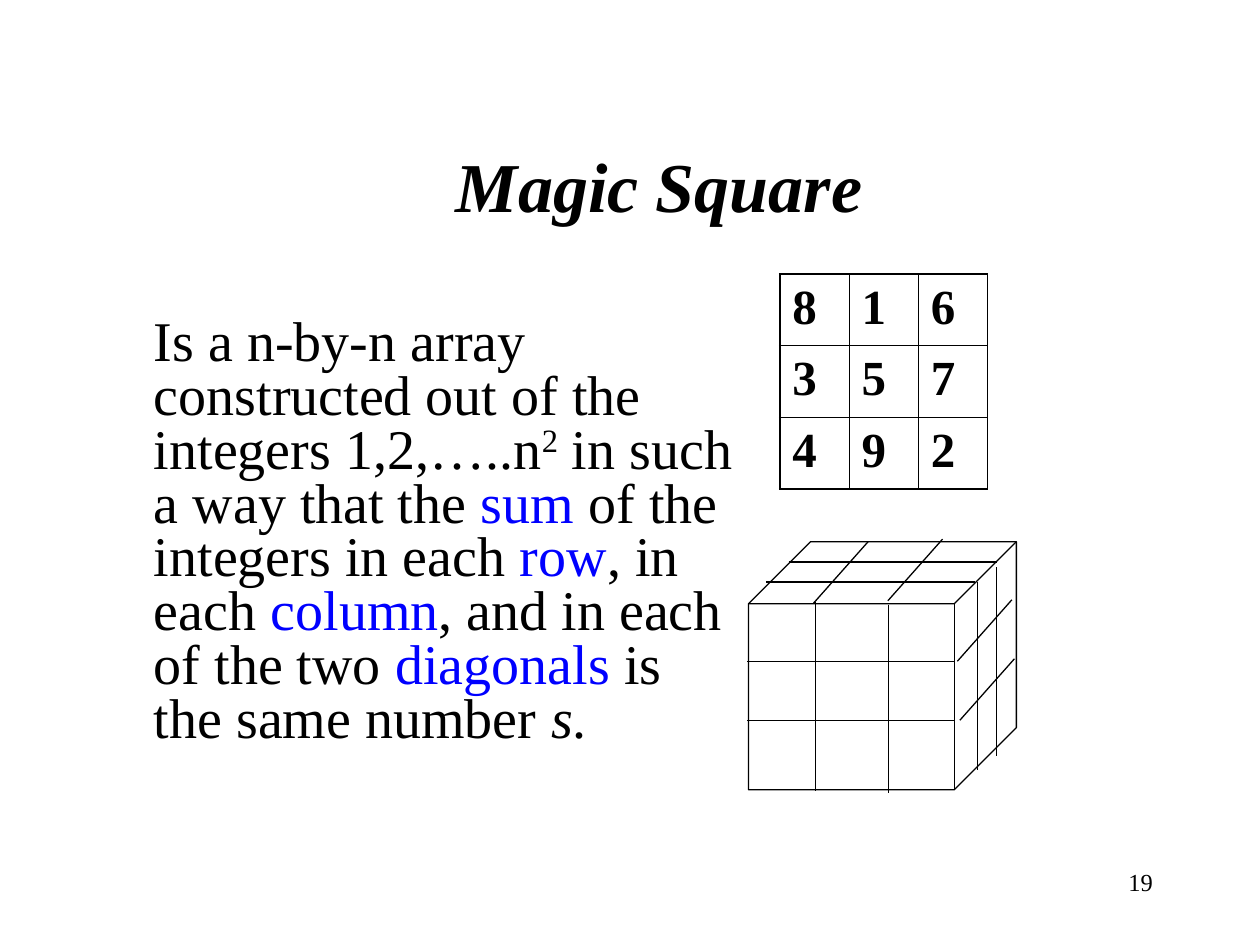
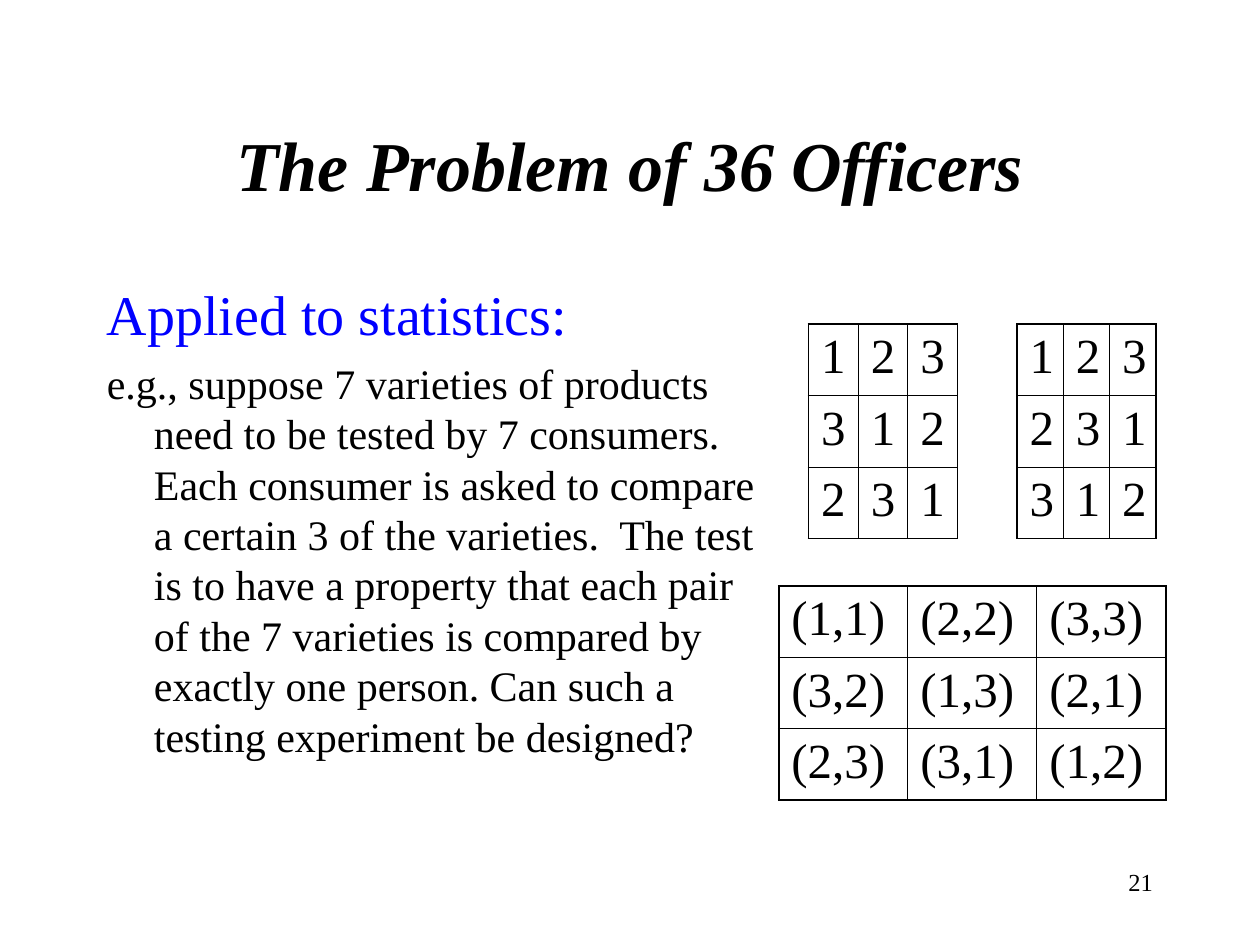
from pptx import Presentation
from pptx.dml.color import RGBColor
from pptx.enum.shapes import MSO_CONNECTOR as Connector, MSO_SHAPE as Shape
from pptx.enum.text import MSO_ANCHOR as Anchor, MSO_AUTO_SIZE as AutoSize, PP_ALIGN as Align
from pptx.oxml.ns import qn
from pptx.util import Cm, Pt
from lxml.etree import SubElement

BLACK = RGBColor(0, 0, 0)
BLUE = RGBColor(0, 0, 255)
FONT = "Times New Roman"
TITLE_FORMAT = {"size": Pt(40), "bold": True, "italic": True}
TITLE_SIZE = (21.59, 3.18)
NUMBER_BOX = (18.21, 17.35, 5.28, 1.27)
INDENT = Cm(0.95)
ROW_HEIGHT = 1.44
OUTER_LINE, INNER_LINE = Pt(1.08), Pt(0.45)
CUBE_LINE = Pt(0.75)

# Each family of cube lines: shared (dx, dy), then starting points from the cube's corner
CUBE_LINES = [
    ((4.2, 0), [(0.81, 0.41), (0.36, 0.81), (-0.03, 2.41), (-0.03, 3.61)]),
    ((0, 3.8), [(1.35, 1.22), (2.82, 1.27), (5.0, 0.51), (4.62, 0.81)]),
    ((-1.1, 1.24), [(2.41, 0), (3.91, -0.05), (5.31, 1.17), (5.36, 2.36)]),
]

MAGIC_SQUARE = ["816", "357", "492"]
FIRST_LATIN_SQUARE = ["123", "312", "231"]
SECOND_LATIN_SQUARE = ["123", "231", "312"]
PAIRED_SQUARE = [
    [f"({first},{second})" for first, second in zip(*rows)]
    for rows in zip(FIRST_LATIN_SQUARE, SECOND_LATIN_SQUARE)
]

HIGHLIGHT = {"color": BLUE}
MAGIC_DEFINITION = [
    ("Is a n-by-n array constructed out of the integers 1,2,…..n", {}),
    ("2", {"baseline": 30000}),
    (" in such a way that the ", {}),
    ("sum", HIGHLIGHT),
    (" of the integers in each ", {}),
    ("row", HIGHLIGHT),
    (", in each ", {}),
    ("column", HIGHLIGHT),
    (", and in each of the two ", {}),
    ("diagonals", HIGHLIGHT),
    (" is the same number ", {}),
    ("s", {"italic": True}),
    (".", {}),
]
STATISTICS_EXAMPLE = (
    "e.g., suppose 7 varieties of products need to be tested by 7 consumers. "
    "Each consumer is asked to compare a certain 3 of the varieties.  "
    "The test is to have a property that each pair of the 7 varieties is "
    "compared by exactly one person. Can such a testing experiment be designed?"
)


def place(shape, box):
    for name, length in zip(("left", "top", "width", "height"), box):
        setattr(shape, name, Cm(length))


def add_run(paragraph, text, color=BLACK, baseline=None, **font_format):
    run = paragraph.add_run()
    run.text = text
    run.font.color.rgb = color
    for name, value in {"name": FONT, **font_format}.items():
        setattr(run.font, name, value)
    if baseline:
        run._r.get_or_add_rPr().set("baseline", str(baseline))


def add_titled_slide(presentation, title, title_left, title_top, number):
    slide = presentation.slides.add_slide(presentation.slide_layouts[1])
    place(slide.shapes.title, (title_left, title_top, *TITLE_SIZE))
    frame = slide.shapes.title.text_frame
    frame.vertical_anchor = Anchor.MIDDLE
    frame.auto_size = AutoSize.NONE
    frame.paragraphs[0].alignment = Align.CENTER
    add_run(frame.paragraphs[0], title, **TITLE_FORMAT)

    number_frame = slide.shapes.add_textbox(*map(Cm, NUMBER_BOX)).text_frame
    number_frame.word_wrap = True
    number_frame.paragraphs[0].alignment = Align.RIGHT
    add_run(number_frame.paragraphs[0], str(number), size=Pt(14))
    return slide


def fill_body(slide, box, paragraphs, size=None, hanging=False, **paragraph_format):
    """Write each paragraph, a list of (text, format) runs, without bullets."""
    body = slide.placeholders[1]
    place(body, box)
    frame = body.text_frame
    frame.auto_size = AutoSize.NONE
    for index, runs in enumerate(paragraphs):
        paragraph = frame.add_paragraph() if index else frame.paragraphs[0]
        properties = paragraph._p.get_or_add_pPr()
        properties.set("marL", str(INDENT))
        properties.set("indent", str(-INDENT if hanging else 0))
        SubElement(properties, qn("a:buNone"))
        paragraph.space_before = Pt(6 if index else 0)
        for name, value in paragraph_format.items():
            setattr(paragraph, name, value)
        for text, run_format in runs:
            add_run(paragraph, text, **{"size": size, **run_format})


def set_borders(cell, outer_sides):
    properties = cell._tc.get_or_add_tcPr()
    for index, (side, is_outer) in enumerate(outer_sides.items()):
        line = properties.makeelement(qn(f"a:ln{side}"), {"w": str(OUTER_LINE if is_outer else INNER_LINE)})
        fill = SubElement(line, qn("a:solidFill"))
        SubElement(fill, qn("a:srgbClr"), val=str(BLACK))
        properties.insert(index, line)


def add_square(slide, left, top, width, rows, bold=False):
    """Draw a square of numbers with a heavier outer frame."""
    count = len(rows)
    last = count - 1
    box = (left, top, width, count * ROW_HEIGHT)
    table = slide.shapes.add_table(count, count, *map(Cm, box)).table
    table.first_row = table.horz_banding = False
    for column in table.columns:
        column.width = Cm(width / count)
    for row_index, row in enumerate(rows):
        table.rows[row_index].height = Cm(ROW_HEIGHT)
        for column_index, text in enumerate(row):
            cell = table.cell(row_index, column_index)
            cell.fill.background()
            add_run(cell.text_frame.paragraphs[0], text, size=Pt(28), bold=bold)
            set_borders(cell, {
                "L": column_index == 0, "R": column_index == last,
                "T": row_index == 0, "B": row_index == last,
            })


def add_cube(slide, left, top, width, height):
    group = slide.shapes.add_group_shape()
    cube = group.shapes.add_shape(Shape.CUBE, *map(Cm, (left, top, width, height)))
    cube.shadow.inherit = False
    cube.fill.background()
    cube.line.color.rgb = BLACK
    cube.line.width = CUBE_LINE
    for (dx, dy), starts in CUBE_LINES:
        for x, y in starts:
            ends = (left + x, top + y, left + x + dx, top + y + dy)
            line = group.shapes.add_connector(Connector.STRAIGHT, *map(Cm, ends))
            line.line.color.rgb = BLACK
            line.line.width = CUBE_LINE
            SubElement(line._element.spPr, qn("a:effectLst"))


def build_magic_square(presentation):
    slide = add_titled_slide(presentation, "Magic Square", 2.49, 2.13, 19)
    fill_body(slide, (1.9, 6.3, 13.18, 10.64), [MAGIC_DEFINITION], size=Pt(32), line_spacing=0.8)
    add_square(slide, 15.72, 5.53, 4.19, MAGIC_SQUARE, bold=True)
    add_cube(slide, 15.09, 10.92, 5.4, 5.0)


def build_officers(presentation):
    slide = add_titled_slide(presentation, "The Problem of 36 Officers", 1.9, 1.7, 21)
    fill_body(slide, (1.9, 5.51, 14.0, 11.43), [
        [("Applied to statistics:", {"size": Pt(32), **HIGHLIGHT})],
        [(STATISTICS_EXAMPLE, {"size": Pt(24)})],
    ], hanging=True)
    add_square(slide, 16.3, 6.53, 3.0, FIRST_LATIN_SQUARE)
    add_square(slide, 20.5, 6.53, 2.8, SECOND_LATIN_SQUARE)
    add_square(slide, 15.7, 11.81, 7.8, PAIRED_SQUARE)


def main():
    presentation = Presentation()
    presentation.slide_width, presentation.slide_height = Cm(25.4), Cm(19.05)
    build_magic_square(presentation)
    build_officers(presentation)
    presentation.save("out.pptx")


if __name__ == "__main__":
    main()
